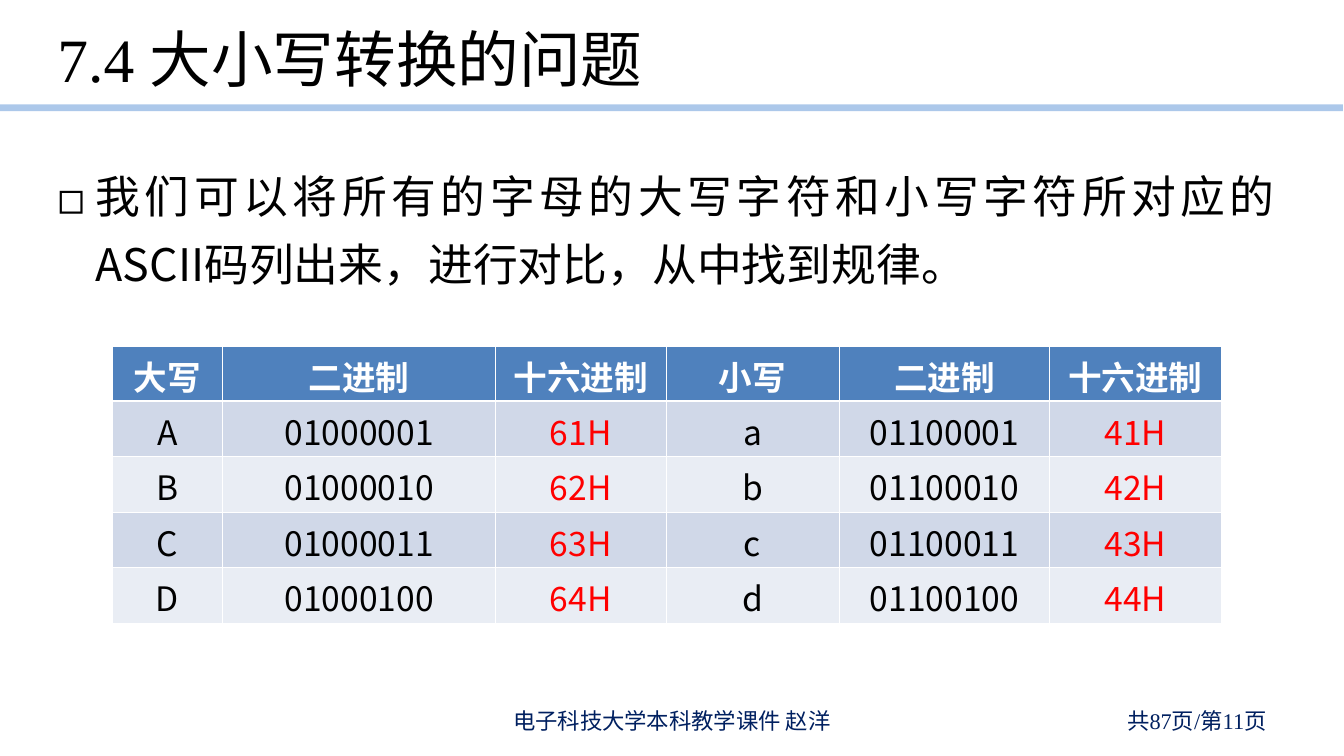
from dataclasses import dataclass

from lxml import etree
from pptx import Presentation
from pptx.dml.color import RGBColor
from pptx.enum import shapes, text
from pptx.oxml import ns
from pptx.util import Inches, Pt

SANS = "Noto Sans CJK SC"
SERIF = "Times New Roman"
BLACK, WHITE, RED, NAVY = "000000", "FFFFFF", "FF0000", "002060"
HEADER_FILL, BAND_FILLS = "4F81BD", ("D0D8E8", "E9EDF4")
ALIGN, ANCHOR = text.PP_ALIGN, text.MSO_ANCHOR


@dataclass
class Style:
    size: float
    color: str
    align: text.PP_ALIGN
    latin: str = SANS
    bold: bool = False


@dataclass
class Label:
    words: str
    at: tuple[float, float, float, float]
    style: Style
    anchor: text.MSO_ANCHOR = ANCHOR.MIDDLE


BODY = Label("我们可以将所有的字母的大写字符和小写字符所对应的ASCII码列出来，进行对比，从中找到规律。",
             (0.47, 1.48, 12.29, 4.95), Style(32, BLACK, ALIGN.JUSTIFY), ANCHOR.TOP)
FOOTERS = [
    Label("电子科技大学本科教学课件 赵洋", (4.56, 6.95, 4.22, 0.4), Style(16, NAVY, ALIGN.CENTER)),
    Label("共87页/第11页", (9.56, 6.95, 3.11, 0.4), Style(16, NAVY, ALIGN.RIGHT, SERIF)),
]
COLUMN_WIDTHS = [1.1, 2.71, 1.69, 1.72, 2.09, 1.7]
HEX_COLUMNS = (2, 5)
ROWS = [
    ["大写", "二进制", "十六进制", "小写", "二进制", "十六进制"],
    ["A", "01000001", "61H", "a", "01100001", "41H"],
    ["B", "01000010", "62H", "b", "01100010", "42H"],
    ["C", "01000011", "63H", "c", "01100011", "43H"],
    ["D", "01000100", "64H", "d", "01100100", "44H"],
]


def rgb(color: str) -> RGBColor:
    return RGBColor.from_string(color)


def write(frame, words: str, style: Style):
    """Fill a text frame with one styled paragraph and return it."""
    frame.text = words
    para = frame.paragraphs[0]
    para.alignment = style.align
    for span in para.runs:
        span.font.size = Pt(style.size)
        span.font.bold = style.bold
        span.font.color.rgb = rgb(style.color)
        span.font.name = style.latin
        etree.SubElement(span.font._element, ns.qn("a:ea"), typeface=SANS)
    return para


def add_label(page, label: Label):
    box = page.shapes.add_textbox(*map(Inches, label.at))
    box.text_frame.word_wrap = True
    box.text_frame.vertical_anchor = label.anchor
    return write(box.text_frame, label.words, label.style)


def add_bullet(para, mark: str, indent: float) -> None:
    props = para._p.get_or_add_pPr()
    props.set("marL", str(Inches(indent)))
    props.set("indent", str(-Inches(indent)))
    color = etree.SubElement(props, ns.qn("a:buClr"))
    etree.SubElement(color, ns.qn("a:srgbClr"), val=BLACK)
    etree.SubElement(props, ns.qn("a:buFont"), typeface=SANS)
    etree.SubElement(props, ns.qn("a:buChar"), char=mark)


def add_title_rule(page) -> None:
    y = Inches(1.07)
    rule = page.shapes.add_connector(shapes.MSO_CONNECTOR.STRAIGHT, 0, y, Inches(13.33), y)
    rule.line.width = Pt(4.75)
    rule.line.color.rgb = rgb("8EB4E3")
    tint = rule._element.spPr.find(".//" + ns.qn("a:srgbClr"))
    etree.SubElement(tint, ns.qn("a:alpha"), val="73000")
    etree.SubElement(rule._element.spPr, ns.qn("a:effectLst"))


def set_borders(cell, widths: dict[str, float]) -> None:
    """Draw white cell borders; they must precede the fill in the cell properties."""
    props = cell._tc.get_or_add_tcPr()
    for place, (side, width) in enumerate(widths.items()):
        border = etree.Element(ns.qn(f"a:{side}"), w=str(Pt(width)))
        fill = etree.SubElement(border, ns.qn("a:solidFill"))
        etree.SubElement(fill, ns.qn("a:srgbClr"), val=WHITE)
        props.insert(place, border)


def add_code_table(page) -> None:
    frame = page.shapes.add_table(len(ROWS), len(COLUMN_WIDTHS), Inches(1.11), Inches(3.44),
                                  Inches(sum(COLUMN_WIDTHS)), Inches(2.73))
    table = frame.table
    for column, width in zip(table.columns, COLUMN_WIDTHS):
        column.width = Inches(width)
    for r, values in enumerate(ROWS):
        header = r == 0
        table.rows[r].height = Inches(0.54 if header else 0.55)
        for c, value in enumerate(values):
            cell = table.cell(r, c)
            color = WHITE if header else RED if c in HEX_COLUMNS else BLACK
            write(cell.text_frame, value, Style(24, color, ALIGN.CENTER, bold=header))
            cell.fill.solid()
            cell.fill.fore_color.rgb = rgb(HEADER_FILL if header else BAND_FILLS[(r - 1) % 2])
            set_borders(cell, {"lnL": 0.45, "lnR": 0.45, "lnT": 1.47 if r == 1 else 0.45,
                               "lnB": 1.47 if header else 0.45})


def main() -> None:
    deck = Presentation()
    deck.slide_width, deck.slide_height = Inches(13.34), Inches(7.5)
    page = deck.slides.add_slide(deck.slide_layouts[5])
    add_title_rule(page)

    title = page.shapes.title
    title.left, title.top, title.width, title.height = map(Inches, (0.47, 0.09, 11.02, 0.97))
    title.text_frame.vertical_anchor = ANCHOR.MIDDLE
    write(title.text_frame, "7.4 大小写转换的问题", Style(44, BLACK, ALIGN.LEFT, SERIF))

    body = add_label(page, BODY)
    body.line_spacing = 1.27
    add_bullet(body, "◻", 0.38)

    for footer in FOOTERS:
        add_label(page, footer)
    add_code_table(page)
    deck.save("out.pptx")


if __name__ == "__main__":
    main()
